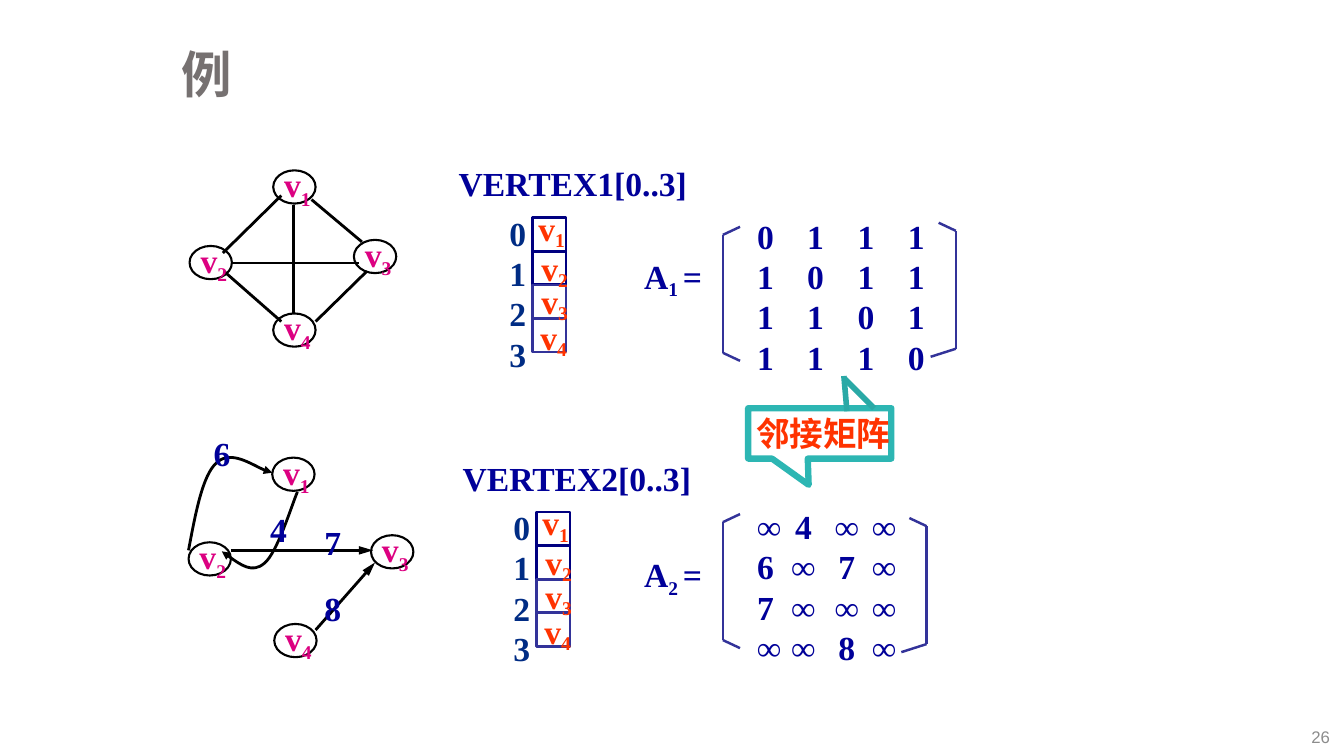
from lxml import etree
from pptx import Presentation
from pptx.dml.color import RGBColor
from pptx.enum.shapes import MSO_CONNECTOR, MSO_SHAPE
from pptx.enum.text import MSO_ANCHOR, PP_ALIGN
from pptx.oxml.ns import qn
from pptx.util import Inches, Pt

STRAIGHT = MSO_CONNECTOR.STRAIGHT
OVAL, RECT, CALLOUT = MSO_SHAPE.OVAL, MSO_SHAPE.RECTANGLE, MSO_SHAPE.RECTANGULAR_CALLOUT
LEFT, CENTER, RIGHT = PP_ALIGN.LEFT, PP_ALIGN.CENTER, PP_ALIGN.RIGHT
MIDDLE = MSO_ANCHOR.MIDDLE

SERIF, SANS, CJK = "Times New Roman", "Arial", "Noto Sans CJK SC"
BLACK = RGBColor(0x00, 0x00, 0x00)
GRAY = RGBColor(0x76, 0x71, 0x71)
LIGHT_GRAY = RGBColor(0x8C, 0x8C, 0x8C)
BLUE = RGBColor(0x00, 0x00, 0x99)
DARK_BLUE = RGBColor(0x00, 0x2C, 0x84)
NAVY = RGBColor(0x00, 0x00, 0x80)
INDIGO = RGBColor(0x33, 0x33, 0x99)
PINK = RGBColor(0xDC, 0x00, 0x81)
ORANGE = RGBColor(0xFF, 0x33, 0x00)
TEAL = RGBColor(0x2D, 0xB6, 0xB3)
DARK_TEAL = RGBColor(0x2A, 0xA9, 0xA6)


def add_run(p, text, color, size=24, font=SERIF, bold=True, baseline=0):
    r = p.add_run()
    r.text = text
    r.font.size, r.font.bold, r.font.name = Pt(size), bold, font
    r.font.color.rgb = color
    rpr = r._r.get_or_add_rPr()
    etree.SubElement(rpr, qn("a:ea")).set("typeface", CJK)
    if baseline:
        rpr.set("baseline", str(baseline * 1000))
    return r


def add_box(s, x, y, w, h, wrap=False):
    tf = s.shapes.add_textbox(Inches(x), Inches(y), Inches(w), Inches(h)).text_frame
    tf.word_wrap = wrap
    return tf


def add_vertex_label(s, x, y, number, color, baseline):
    p = add_box(s, x, y, 0.48, 0.51).paragraphs[0]
    add_run(p, "v", color)
    add_run(p, str(number), color, baseline=baseline)


def add_outline(s, kind, x, y, w, h, color, width):
    sp = s.shapes.add_shape(kind, Inches(x), Inches(y), Inches(w), Inches(h))
    sp.shadow.inherit = False
    sp.fill.background()
    sp.line.color.rgb, sp.line.width = color, Pt(width)
    return sp


def add_arrowhead(sp, end, length):
    head = etree.SubElement(sp.line._get_or_add_ln(), qn("a:" + end))
    for name, value in (("type", "triangle"), ("w", "med"), ("len", length)):
        head.set(name, value)


def add_line(s, x1, y1, x2, y2, color, width, arrow=False):
    line = s.shapes.add_connector(STRAIGHT, Inches(x1), Inches(y1), Inches(x2), Inches(y2))
    line.line.color.rgb, line.line.width = color, Pt(width)
    etree.SubElement(line._element.spPr, qn("a:effectLst"))
    if arrow:
        add_arrowhead(line, "tailEnd", "lg")


def add_curve(s, points, arrow_end):
    """Draw cubic Bézier segments: a start point, then three points each."""
    start, *rest = [(Inches(x), Inches(y)) for x, y in points]
    builder = s.shapes.build_freeform(*start)
    builder.add_line_segments(rest, close=False)
    sp = builder.convert_to_shape()
    sp.shadow.inherit = False
    sp.fill.background()
    sp.line.color.rgb, sp.line.width = BLACK, Pt(2)
    outline = sp._element.find(".//" + qn("a:path"))
    steps = outline.findall(qn("a:lnTo"))
    for i in range(0, len(steps), 3):
        cubic = etree.SubElement(outline, qn("a:cubicBezTo"))
        for step in steps[i:i + 3]:
            cubic.append(step[0])
            outline.remove(step)
    add_arrowhead(sp, arrow_end, "med")


def add_graph(s, x, y, vertices, edges, directed=False, curves=(), weights=()):
    for dx, dy in vertices:
        add_outline(s, OVAL, x + dx, y + dy, 0.42, 0.33, BLACK, 1.5)
    for x1, y1, x2, y2 in edges:
        add_line(s, x + x1, y + y1, x + x2, y + y2, BLACK, 2, directed)
    for points, arrow_end in curves:
        add_curve(s, [(x + dx, y + dy) for dx, dy in points], arrow_end)
    for number, (dx, dy) in enumerate(vertices, 1):
        add_vertex_label(s, x + dx + 0.01, y + dy - 0.11, number, PINK, -25)
    for text, dx, dy in weights:
        add_run(add_box(s, x + dx, y + dy, 0.37, 0.51).paragraphs[0], text, BLUE)


def add_vertex_array(s, x, y, name):
    cell = 1 / 3
    for i, color in enumerate((NAVY, NAVY, INDIGO, INDIGO)):
        add_outline(s, RECT, x + 0.83, y + 0.59 + i * cell, cell, cell, color, 2)
    labels = ((0.79, 0.44, -20), (0.82, 0.84, -18), (0.82, 1.17, -18), (0.81, 1.52, -18))
    for number, (dx, dy, baseline) in enumerate(labels, 1):
        add_vertex_label(s, x + dx, y + dy, number, ORANGE, baseline)
    add_run(add_box(s, x, y, 2.5, 0.51).paragraphs[0], name, BLUE)
    # Row indices
    tf = add_box(s, x + 0.5, y + 0.49, 0.37, 1.72)
    for i in range(4):
        p = tf.paragraphs[0] if i == 0 else tf.add_paragraph()
        p.alignment = CENTER
        add_run(p, str(i), DARK_BLUE)


def add_matrix(s, x, y, number, rows, stops, label_dy, left_dy, right_x, right_dy):
    # Entries, with centred tab stops as columns
    tf = add_box(s, x + 1.12, y, 1.89, 1.72)
    for i, row in enumerate(rows):
        p = tf.paragraphs[0] if i == 0 else tf.add_paragraph()
        tabs = etree.SubElement(p._p.get_or_add_pPr(), qn("a:tabLst"))
        for stop in stops:
            tab = etree.SubElement(tabs, qn("a:tab"))
            tab.set("pos", str(Inches(stop)))
            tab.set("algn", "ctr")
        add_run(p, "\t".join(row.split()), BLUE)
    # Brackets: a side and two slanted ends
    sides = ((x + 0.88, y + left_dy, 0.17, 0.17), (x + right_x, y + right_dy, -0.17, -0.25))
    for side_x, top, top_dx, bottom_dx in sides:
        bottom = top + 1.17
        add_line(s, side_x, top, side_x, bottom, INDIGO, 1.75)
        add_line(s, side_x, top, side_x + top_dx, top - 0.08, INDIGO, 1.75)
        add_line(s, side_x, bottom, side_x + bottom_dx, bottom + 0.08, INDIGO, 1.75)
    # Matrix name
    p = add_box(s, x, y + label_dy, 0.81, 0.51).paragraphs[0]
    add_run(p, "A", BLUE)
    add_run(p, f"{number} ", BLUE, baseline=-22)
    add_run(p, "=", BLUE)


def add_callout(s, x, y):
    sp = add_outline(s, CALLOUT, x, y, 1.42, 0.5, TEAL, 4.5)
    sp.adjustments[0], sp.adjustments[1] = -0.077, 1.021
    # Upper pointer
    add_line(s, x + 0.96, y - 0.29, x + 1.25, y, DARK_TEAL, 4)
    add_line(s, x + 0.95, y - 0.32, x + 0.98, y + 0.03, DARK_TEAL, 4)
    p = add_box(s, x - 0.02, y, 1.78, 0.51, wrap=True).paragraphs[0]
    r = add_run(p, "邻接矩阵", ORANGE, font=CJK)
    # Text shadow
    effects = etree.Element(qn("a:effectLst"))
    shadow = etree.SubElement(effects, qn("a:outerShdw"))
    shadow.set("dist", str(Pt(2)))
    shadow.set("dir", "2700000")
    etree.SubElement(shadow, qn("a:srgbClr")).set("val", str(BLACK))
    r._r.get_or_add_rPr().find(qn("a:solidFill")).addnext(effects)


def add_heading(s):
    title = s.shapes.title
    title.left, title.top, title.width, title.height = map(Inches, (1.7, 0.34, 11.25, 0.85))
    title.text_frame.vertical_anchor = MIDDLE
    p = title.text_frame.paragraphs[0]
    p.alignment, p.line_spacing = LEFT, 0.9
    add_run(p, "例", GRAY, 36, SANS)
    # Slide number
    tf = add_box(s, 12.82, 7.12, 0.47, 0.38, wrap=True)
    tf.vertical_anchor = MIDDLE
    tf.paragraphs[0].alignment = RIGHT
    add_run(tf.paragraphs[0], "26", LIGHT_GRAY, 12, SANS, bold=False)


prs = Presentation()
prs.slide_width, prs.slide_height = Inches(13.33), Inches(7.5)
s = prs.slides.add_slide(prs.slide_layouts[5])
add_heading(s)

# Undirected graph and its adjacency matrix
add_graph(s, 1.88, 1.69, [(0.83, 0), (0, 0.75), (1.63, 0.69), (0.83, 1.42)],
          [(0.33, 0.82, 0.91, 0.25), (0.41, 0.92, 1.68, 0.92), (1.03, 0.34, 1.03, 1.42),
           (1.21, 0.29, 1.71, 0.71), (1.25, 1.5, 1.76, 1), (0.34, 1, 0.91, 1.5)])
add_matrix(s, 6.29, 2.09, 1, ["0 1 1 1", "1 0 1 1", "1 1 0 1", "1 1 1 0"],
           (0.58, 1.08, 1.58), 0.4, 0.24, 3.19, 0.2)

# Directed weighted graph and its adjacency matrix
add_graph(s, 1.87, 4.54, [(0.83, 0), (0, 0.84), (1.81, 0.77), (0.85, 1.65)],
          [(0.42, 0.92, 1.83, 0.92), (1.26, 1.71, 1.85, 1.04)], directed=True,
          curves=[([(0, 0.92), (0.07, 0.55), (0.14, 0.17), (0.28, 0.05),
                    (0.42, -0.08), (0.74, 0.14), (0.83, 0.15)], "tailEnd"),
                  ([(0.33, 0.93), (0.48, 1.04), (0.63, 1.15), (0.75, 1.05),
                    (0.88, 0.95), (1.03, 0.45), (1.08, 0.34)], "headEnd")],
          weights=[("6", 0.15, -0.29), ("4", 0.71, 0.46), ("7", 1.25, 0.59), ("8", 1.25, 1.24)])
add_matrix(s, 6.29, 4.97, 2, ["∞ 4 ∞ ∞", "6 ∞ 7 ∞", "7 ∞ ∞ ∞", "∞ ∞ 8 ∞"],
           (0.46, 0.89, 1.26), 0.48, 0.21, 2.9, 0.25)

add_callout(s, 7.42, 4.05)
add_vertex_array(s, 4.45, 1.57, "VERTEX1[0..3]")
add_vertex_array(s, 4.49, 4.49, "VERTEX2[0..3]")
prs.save("out.pptx")
